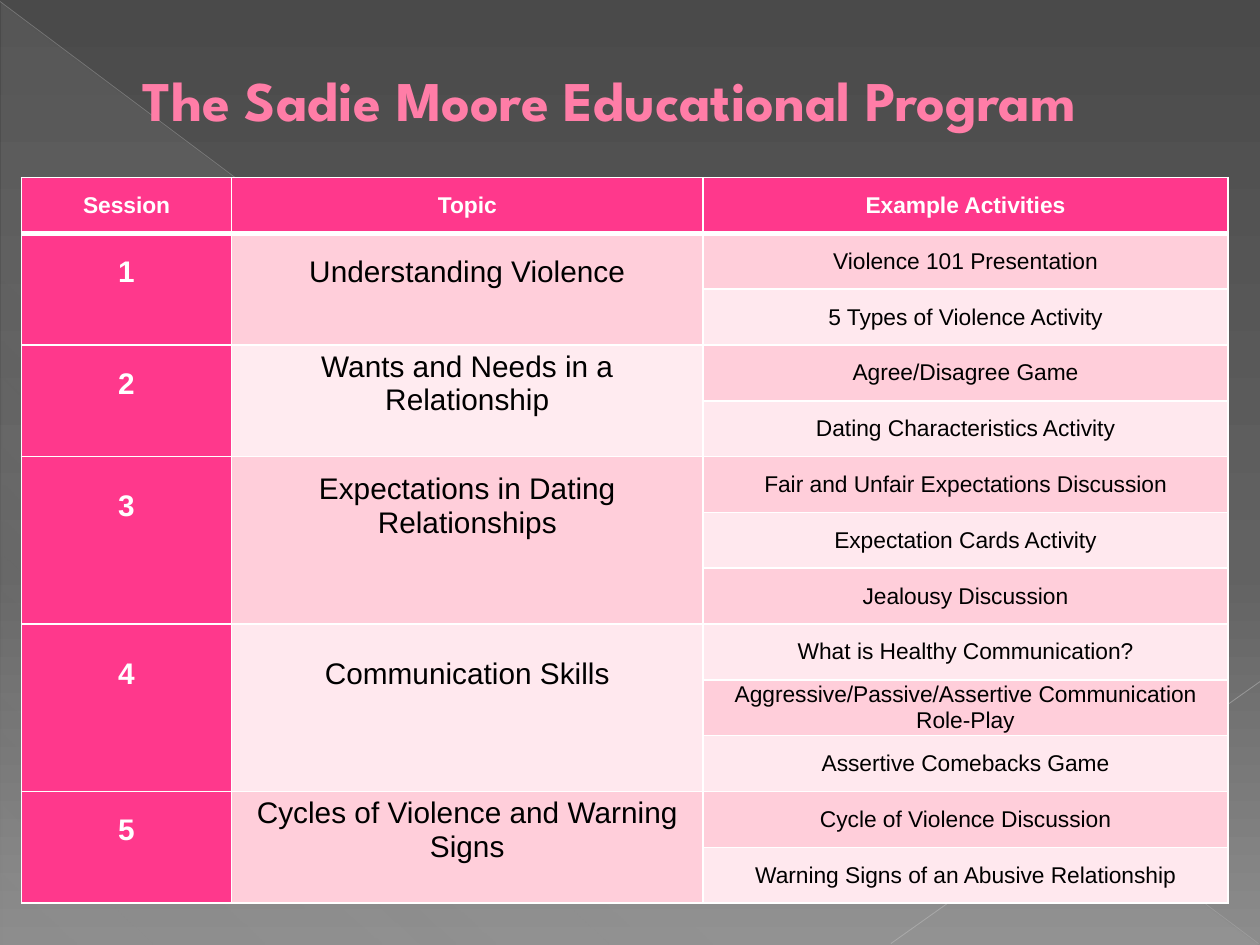
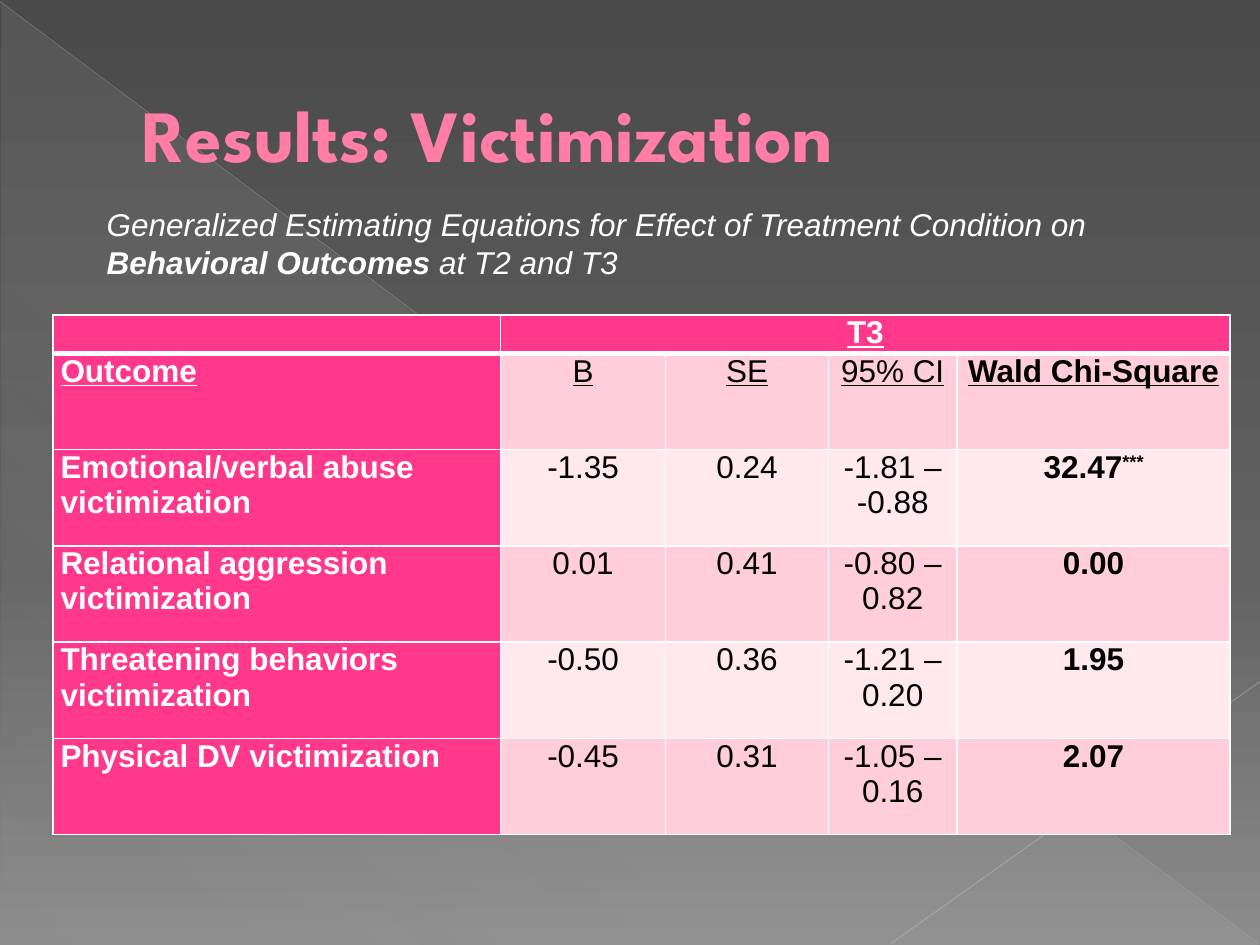
import lxml.etree
import pptx
import pptx.dml.color
import pptx.enum.shapes
import pptx.enum.text
import pptx.oxml.ns
import pptx.util

Cm, Pt = pptx.util.Cm, pptx.util.Pt
RGBColor = pptx.dml.color.RGBColor
qn = pptx.oxml.ns.qn
ALIGN = pptx.enum.text.PP_ALIGN
ANCHOR = pptx.enum.text.MSO_ANCHOR

# Shared look
WHITE = RGBColor(0xFF, 0xFF, 0xFF)
BLACK = RGBColor(0x00, 0x00, 0x00)
HOT_PINK = RGBColor(0xFF, 0x38, 0x8C)
MID_PINK = RGBColor(0xFF, 0xCE, 0xDA)
PALE_PINK = RGBColor(0xFF, 0xE8, 0xEE)
BLUSH = RGBColor(0xFF, 0xEB, 0xF0)
TITLE_PINK = RGBColor(0xFF, 0x7D, 0xA7)
TITLE_EDGE = RGBColor(0xB1, 0x27, 0x61)
DARK_GREY = RGBColor(0x4A, 0x4A, 0x4A)
MID_GREY = RGBColor(0x62, 0x62, 0x62)
LIGHT_GREY = RGBColor(0x8C, 0x8C, 0x8C)
VEIL_GREY = RGBColor(0xD2, 0xD2, 0xD2)
DIAGONAL_GREY = RGBColor(0xBF, 0xBF, 0xBF)
CORNER_GREY = RGBColor(0xC6, 0xC6, 0xC6)
TITLE_FONT, BODY_FONT = "League Spartan", "Arial"
TITLE_ONLY = 5

# Session topics with their activities
SESSIONS = [
    ("Understanding Violence",
     ["Violence 101 Presentation", "5 Types of Violence Activity"]),
    ("Wants and Needs in a Relationship",
     ["Agree/Disagree Game", "Dating Characteristics Activity"]),
    ("Expectations in Dating Relationships",
     ["Fair and Unfair Expectations Discussion", "Expectation Cards Activity",
      "Jealousy Discussion"]),
    ("Communication Skills",
     ["What is Healthy Communication?",
      "Aggressive/Passive/Assertive Communication Role-Play",
      "Assertive Comebacks Game"]),
    ("Cycles of Violence and Warning Signs",
     ["Cycle of Violence Discussion", "Warning Signs of an Abusive Relationship"]),
]

# Outcome, B, SE, 95% CI, Wald chi-square, significance stars
RESULTS = [
    ("Outcome", "B", "SE", "95% CI", "Wald Chi-Square", ""),
    ("Emotional/verbal abuse victimization", "-1.35", "0.24", "-1.81 – -0.88", "32.47", "***"),
    ("Relational aggression victimization", "0.01", "0.41", "-0.80 – 0.82", "0.00", ""),
    ("Threatening behaviors victimization", "-0.50", "0.36", "-1.21 – 0.20", "1.95", ""),
    ("Physical DV victimization", "-0.45", "0.31", "-1.05 – 0.16", "2.07", ""),
]


def add_color(parent, color, alpha=None):
    """Append a colour, with an opacity in percent if one is given."""
    node = lxml.etree.SubElement(parent, qn("a:srgbClr"), val=str(color))
    if alpha is not None:
        lxml.etree.SubElement(node, qn("a:alpha"), val=str(alpha * 1000))


def set_gradient(fill, holder, stops, angle):
    """Fill with (position, colour, opacity) stops, all in percent."""
    fill.gradient()
    gradient = holder.find(".//" + qn("a:gradFill"))
    stop_list = gradient.find(qn("a:gsLst"))
    for old_stop in list(stop_list):
        stop_list.remove(old_stop)
    for position, color, alpha in stops:
        stop = lxml.etree.SubElement(stop_list, qn("a:gs"), pos=str(position * 1000))
        add_color(stop, color, alpha)
    gradient.find(qn("a:lin")).set("ang", str(angle * 60000))


def add_line(slide, start, end, color, width, alpha):
    line = slide.shapes.add_connector(
        pptx.enum.shapes.MSO_CONNECTOR.STRAIGHT,
        *(Cm(value) for value in start + end))
    line.line.color.rgb = color
    line.line.width = Pt(width)
    tint = line.element.spPr.find(".//" + qn("a:srgbClr"))
    lxml.etree.SubElement(tint, qn("a:alpha"), val=str(alpha * 1000))
    lxml.etree.SubElement(line.element.spPr, qn("a:effectLst"))
    return line


def decorate_master(deck, slide):
    """Draw the backdrop on a slide, then move it to the master."""
    master = deck.slide_master
    set_gradient(master.background.fill, master.element,
                 [(0, DARK_GREY, None), (60, MID_GREY, None), (100, LIGHT_GREY, None)], 90)
    veil = slide.shapes.add_shape(
        pptx.enum.shapes.MSO_SHAPE.RIGHT_TRIANGLE, Cm(0.03), Cm(0.05), Cm(25.35), Cm(19))
    veil.shadow.inherit = False
    veil.line.fill.background()
    set_gradient(veil.fill, veil.element.spPr,
                 [(0, VEIL_GREY, 10), (70, VEIL_GREY, 8), (100, VEIL_GREY, 1)], 133)
    diagonal = add_line(slide, (0, 0.03), (25.37, 19.02), DIAGONAL_GREY, 0.39, 35)
    corner = add_line(slide, (25.4, 13.74), (17.96, 19.02), CORNER_GREY, 0.47, 45)
    for order, shape in enumerate((veil, diagonal, corner)):
        shape.element.find(".//" + qn("p:cNvPr")).set("id", str(100 + order))
        master.shapes.element.insert(2 + order, shape.element)


def add_span(para, text, size, color, font=BODY_FONT, bold=False, italic=False,
             underline=False):
    span = para.add_run()
    span.text = text
    span.font.name = font
    span.font.size = Pt(size)
    span.font.color.rgb = color
    span.font.bold = bold
    span.font.italic = italic
    span.font.underline = underline
    return span


def set_title(slide, text, size, top, height):
    title = slide.shapes.title
    title.left, title.top, title.width, title.height = Cm(1.27), Cm(top), Cm(22.86), Cm(height)
    frame = title.text_frame
    frame.auto_size = pptx.enum.text.MSO_AUTO_SIZE.NONE
    frame.vertical_anchor = ANCHOR.MIDDLE
    para = frame.paragraphs[0]
    para.alignment = ALIGN.LEFT
    properties = para._p.get_or_add_pPr()
    properties.set("marL", str(Cm(1.35)))
    properties.set("indent", "0")
    span = add_span(para, text, size, TITLE_PINK, TITLE_FONT, bold=True)
    # Thin outline around the letters
    edge = lxml.etree.Element(qn("a:ln"), w=str(Pt(0.5)))
    add_color(lxml.etree.SubElement(edge, qn("a:solidFill")), TITLE_EDGE)
    span.font._element.insert(0, edge)


def add_grid(slide, left, top, widths, heights, anchor, side_margin):
    """Add a table with white rules and a heavy rule below the first row."""
    table = slide.shapes.add_table(
        len(heights), len(widths), Cm(left), Cm(top), Cm(sum(widths)), Cm(sum(heights))).table
    for column, width in zip(table.columns, widths):
        column.width = Cm(width)
    for index, (row, height) in enumerate(zip(table.rows, heights)):
        row.height = Cm(height)
        rules = {"L": 1, "R": 1, "T": 3 if index == 1 else 1, "B": 3 if index == 0 else 1}
        for cell in row.cells:
            cell.vertical_anchor = anchor
            cell.margin_left = cell.margin_right = Cm(side_margin)
            cell.margin_top = cell.margin_bottom = 0
            for side, width in rules.items():
                rule = lxml.etree.SubElement(
                    cell._tc.tcPr, qn("a:ln" + side), w=str(Pt(width)))
                add_color(lxml.etree.SubElement(rule, qn("a:solidFill")), WHITE)
    return table


def fill_cell(cell, fill, text, size, color, align=ALIGN.CENTER, **style):
    cell.fill.solid()
    cell.fill.fore_color.rgb = fill
    para = cell.text_frame.paragraphs[0]
    para.alignment = align
    if text:
        add_span(para, text, size, color, **style)
    return para


def row_shade(row):
    return MID_PINK if row % 2 else PALE_PINK


def build_program(slide):
    set_title(slide, "The Sadie Moore Educational Program", 32, 0.43, 3.15)
    row_count = 1 + sum(len(activities) for _, activities in SESSIONS)
    table = add_grid(slide, 0.43, 3.58, [4.24, 9.5, 10.58], [14.63 / row_count] * row_count,
                     ANCHOR.MIDDLE, 0.2)
    for column, heading in enumerate(("Session", "Topic", "Example Activities")):
        fill_cell(table.cell(0, column), HOT_PINK, heading, 13, WHITE, bold=True)

    row = 1
    for number, (topic, activities) in enumerate(SESSIONS, 1):
        last = row + len(activities) - 1
        topic_fill = BLUSH if number == 2 else row_shade(row)
        for column in (0, 1):
            cell = table.cell(row, column)
            cell.merge(table.cell(last, column))
            # Lift the text above the middle, by one line per extra row
            cell.margin_bottom = Pt(19.5 * (last - row))
        fill_cell(table.cell(row, 0), HOT_PINK, str(number), 17, WHITE, bold=True)
        fill_cell(table.cell(row, 1), topic_fill, topic, 17, BLACK)
        for offset, activity in enumerate(activities):
            fill_cell(table.cell(row + offset, 2), row_shade(row + offset), activity, 13, BLACK)
        row = last + 1


def build_results(slide):
    set_title(slide, "Results: Victimization", 42, 0.74, 3.89)
    table = add_grid(slide, 1.07, 6.35, [9.02, 3.33, 3.28, 2.59, 5.51],
                     [0.73] + [1.94] * len(RESULTS), ANCHOR.TOP, 0.15)
    table.cell(0, 1).merge(table.cell(0, 4))
    fill_cell(table.cell(0, 0), HOT_PINK, "", 18, WHITE)
    fill_cell(table.cell(0, 1), HOT_PINK, "T3", 18, WHITE, bold=True, underline=True)

    for row, (outcome, *values, stars) in enumerate(RESULTS, 1):
        underline = row == 1
        fill_cell(table.cell(row, 0), HOT_PINK, outcome, 18, WHITE, ALIGN.LEFT,
                  bold=True, underline=underline)
        for column, value in enumerate(values, 1):
            para = fill_cell(table.cell(row, column), row_shade(row), value, 18, BLACK,
                             bold=column == len(values), underline=underline)
        if stars:
            span = add_span(para, stars, 18, BLACK, bold=True)
            span.font._element.set("baseline", "30000")

    # Caption above the table
    box = slide.shapes.add_textbox(Cm(1.9), Cm(4.01), Cm(21.39), Cm(1.8))
    box.text_frame.word_wrap = True
    box.text_frame.auto_size = pptx.enum.text.MSO_AUTO_SIZE.SHAPE_TO_FIT_TEXT
    para = box.text_frame.paragraphs[0]
    for text, bold in (
            ("Generalized Estimating Equations for Effect of Treatment Condition on ", False),
            ("Behavioral Outcomes ", True), ("at T2 and T3", False)):
        add_span(para, text, 18, WHITE, bold=bold, italic=True)


def main():
    deck = pptx.Presentation()
    deck.slide_width, deck.slide_height = Cm(25.4), Cm(19.05)
    layout = deck.slide_layouts[TITLE_ONLY]
    program, results = (deck.slides.add_slide(layout) for _ in range(2))
    decorate_master(deck, program)
    build_program(program)
    build_results(results)
    deck.save("out.pptx")


main()
